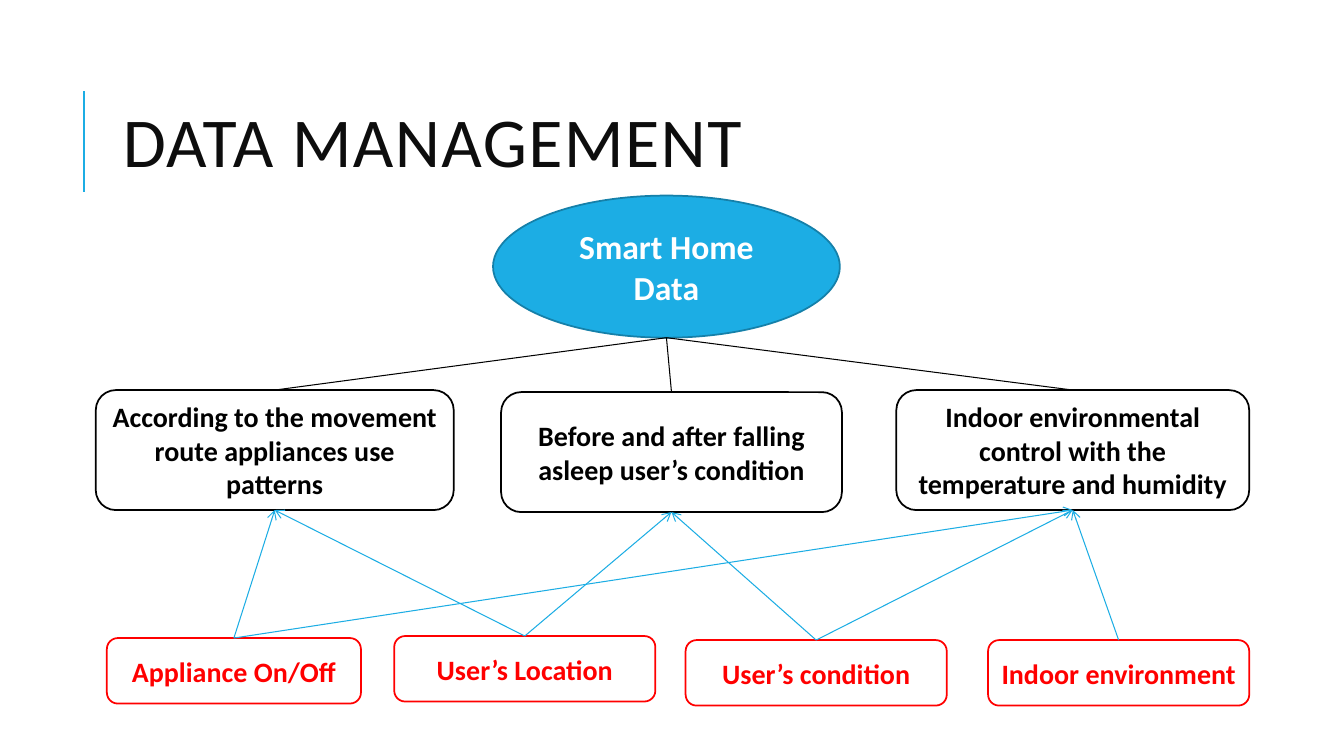
from dataclasses import dataclass

from lxml import etree
from pptx import Presentation
from pptx import util as u
from pptx.dml.color import RGBColor
from pptx.enum import shapes, text
from pptx.oxml import ns


@dataclass(frozen=True)
class Theme:
    font: str = "Calibri"
    accent: str = "1CADE4"
    accent_dark: str = "1580A9"
    heading: str = "0D0D0D"
    ink: str = "000000"
    paper: str = "FFFFFF"
    source: str = "FF0000"
    title_size: float = 50
    root_size: float = 24
    node_size: float = 20
    outline: float = 1.25
    link: float = 0.75
    rule: float = 1.5


THEME = Theme()
WIDTH, HEIGHT = 13.33, 7.5

TITLE = "DATA MANAGEMENT"
ROOT = "Smart Home Data"
# Each node: name -> (wording, left, width, drop below its row)
SERVICES = {
    "movement": ("According to the movement route appliances use patterns", 0.95, 3.55, 0),
    "sleep": ("Before and after falling asleep user’s condition", 4.97, 3.38, 0.02),
    "climate": ("Indoor environmental control with the temperature and humidity", 8.89, 3.5, 0),
}
SOURCES = {
    "appliance": ("Appliance On/Off", 1.06, 2.52, 0.02),
    "location": ("User’s Location", 3.91, 2.59, 0),
    "condition": ("User’s condition", 6.8, 2.59, 0.04),
    "indoor": ("Indoor environment", 9.8, 2.59, 0.04),
}
FEEDS = {
    "appliance": ("movement", "climate"),
    "location": ("movement", "sleep"),
    "condition": ("sleep", "climate"),
    "indoor": ("climate",),
}
ROOT_AREA = (4.89, 1.94, 3.44, 1.41)
TITLE_AREA = (1.12, 0.64, 10.63, 1.64)
TITLE_RULE = ((0.83, 1.9), (0.83, 0.9))
SERVICE_ROW, SERVICE_HEIGHT = 3.87, 1.19
SOURCE_ROW, SOURCE_HEIGHT = 6.31, 0.65


def inches(values):
    return [u.Inches(value) for value in values]


def write(box, wording, size, color, bold=False):
    frame = box.text_frame
    frame.word_wrap = True
    frame.vertical_anchor = text.MSO_ANCHOR.MIDDLE
    para = frame.paragraphs[0]
    para.text = wording
    font = para.runs[0].font
    font.name, font.size, font.bold = THEME.font, u.Pt(size), bold
    font.color.rgb = RGBColor.from_string(color)
    return para


def add_node(page, kind, area, wording, fill, line, size, color):
    node = page.shapes.add_shape(kind, *inches(area))
    node.shadow.inherit = False
    node.fill.solid()
    node.fill.fore_color.rgb = RGBColor.from_string(fill)
    node.line.color.rgb = RGBColor.from_string(line)
    node.line.width = u.Pt(THEME.outline)
    write(node, wording, size, color, bold=True).alignment = text.PP_ALIGN.CENTER
    return node


def add_row(page, nodes, top, height, color):
    return {
        name: add_node(page, shapes.MSO_SHAPE.ROUNDED_RECTANGLE,
                       (left, top + drop, width, height), wording,
                       THEME.paper, color, THEME.node_size, color)
        for name, (wording, left, width, drop) in nodes.items()
    }


def top_of(node):
    return node.left + node.width // 2, node.top


def bottom_of(node):
    return node.left + node.width // 2, node.top + node.height


def add_line(page, start, end, color, width, arrow=False):
    line = page.shapes.add_connector(shapes.MSO_CONNECTOR.STRAIGHT, *start, *end)
    line.line.color.rgb = RGBColor.from_string(color)
    line.line.width = u.Pt(width)
    if arrow:
        outline = line.line._get_or_add_ln()
        etree.SubElement(outline, ns.qn("a:tailEnd"), type="arrow")
    etree.SubElement(line._element.spPr, ns.qn("a:effectLst"))


def add_title(page):
    add_line(page, *map(inches, TITLE_RULE), THEME.accent, THEME.rule)
    box = page.shapes.add_textbox(*inches(TITLE_AREA))
    para = write(box, TITLE, THEME.title_size, THEME.heading)
    para.line_spacing = 0.8
    para.runs[0].font._element.set("spc", "100")


def main():
    deck = Presentation()
    deck.slide_width, deck.slide_height = inches((WIDTH, HEIGHT))
    page = deck.slides.add_slide(deck.slide_layouts[6])

    add_title(page)
    root = add_node(page, shapes.MSO_SHAPE.OVAL, ROOT_AREA, ROOT, THEME.accent,
                    THEME.accent_dark, THEME.root_size, THEME.paper)
    services = add_row(page, SERVICES, SERVICE_ROW, SERVICE_HEIGHT, THEME.ink)
    sources = add_row(page, SOURCES, SOURCE_ROW, SOURCE_HEIGHT, THEME.source)

    for service in services.values():
        add_line(page, bottom_of(root), top_of(service), THEME.ink, THEME.link)
    for name, targets in FEEDS.items():
        for target in targets:
            add_line(page, top_of(sources[name]), bottom_of(services[target]),
                     THEME.accent, THEME.link, arrow=True)

    deck.save("out.pptx")


if __name__ == "__main__":
    main()
